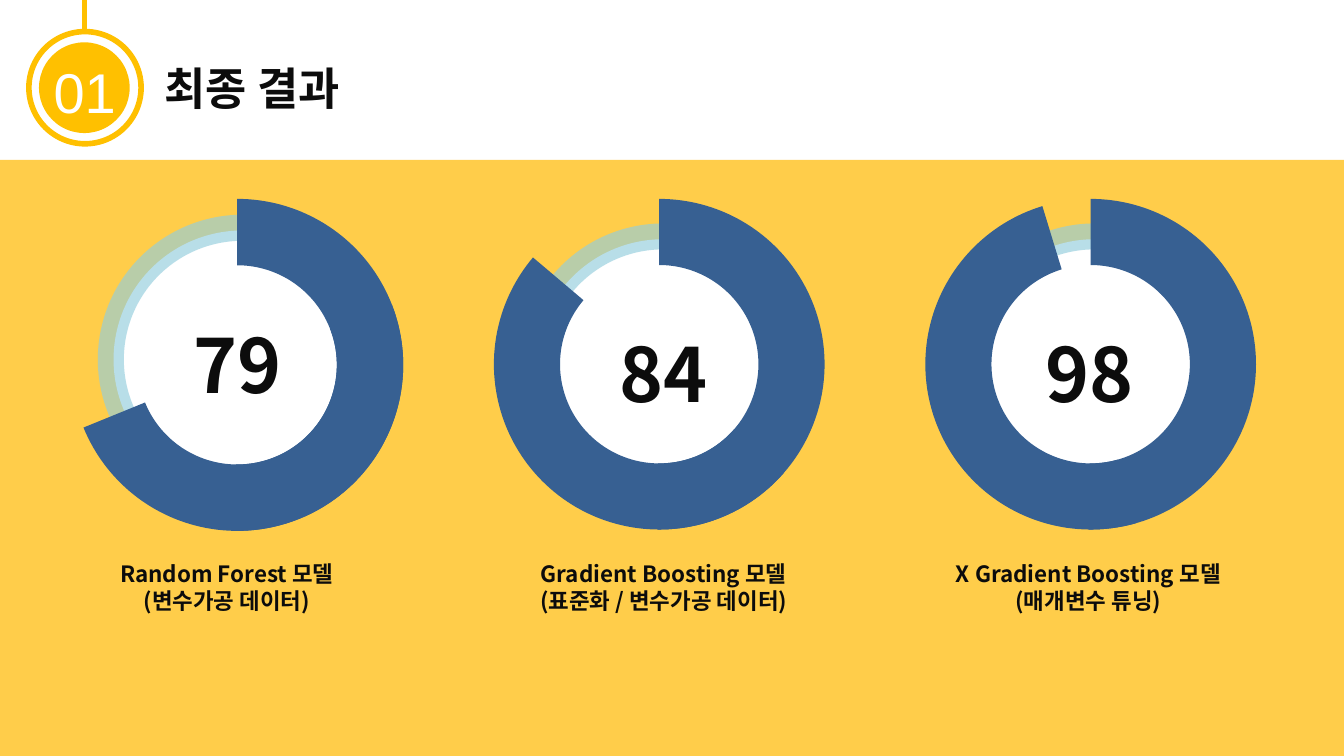
"""Build the final results slide with three model score gauges."""
from lxml.etree import SubElement
from pptx import Presentation
from pptx.dml.color import RGBColor
from pptx.enum.shapes import MSO_CONNECTOR, MSO_SHAPE as Form
from pptx.enum.text import MSO_ANCHOR, PP_ALIGN as Align
from pptx.oxml.ns import qn
from pptx.util import Inches, Pt

KOREAN = "Noto Sans CJK KR"
INK, WHITE, AMBER, SAND = "0C0C0C", "FFFFFF", "FFC000", "FFCD4A"
NAVY, AQUA = "376092", "93CDDD"
COLUMNS, ROWS = 20, 11.25
color = RGBColor.from_string

presentation = Presentation()
presentation.slide_width, presentation.slide_height = Inches(COLUMNS), Inches(ROWS)
column = presentation.slide_width / COLUMNS
row = presentation.slide_height / ROWS
slide = presentation.slides.add_slide(presentation.slide_layouts[6])


def add_form(shapes, form, left, top, width, height, fill=None):
    shape = shapes.add_shape(form, int(left * column), int(top * row),
                             int(width * column), int(height * row))
    shape.shadow.inherit = False
    shape.line.fill.background()
    if fill:
        shape.fill.solid()
        shape.fill.fore_color.rgb = color(fill)
    else:
        shape.fill.background()
    return shape


def add_text(shapes, text, left, top, width, height, size,
             align=Align.CENTER, font=KOREAN, ink=INK, bold=True):
    box = shapes.add_textbox(int(left * column), int(top * row),
                             int(width * column), int(height * row))
    frame = box.text_frame
    frame.word_wrap = True
    frame.vertical_anchor = MSO_ANCHOR.TOP
    frame.text = text
    for paragraph in frame.paragraphs:
        paragraph.alignment = align
        for run in paragraph.runs:
            run.font.size = Pt(size)
            run.font.bold = bold
            run.font.color.rgb = color(ink)
            run.font.name = font
            SubElement(run.font._element, qn("a:ea"), typeface=font)


add_form(slide.shapes, Form.RECTANGLE, 0, 2.38, COLUMNS, ROWS - 2.38, SAND)
add_text(slide.shapes, "최종 결과", 2.35, 0.86, 16.32, 1.21, 48, Align.LEFT)

badge = slide.shapes.add_group_shape().shapes
rim = add_form(badge, Form.OVAL, 0.43, 0.47, 1.67, 1.67)
add_form(badge, Form.OVAL, 0.58, 0.63, 1.35, 1.35, AMBER)
add_text(badge, "01", 0.62, 0.81, 1.28, 0.98, 60, font="Arial", ink=WHITE, bold=False)
cord = badge.add_connector(MSO_CONNECTOR.STRAIGHT, int(1.26 * column), 0,
                           int(1.26 * column), int(0.47 * row))
SubElement(cord._element.spPr, qn("a:effectLst"))
for outline in (rim.line, cord.line):
    outline.color.rgb = color(AMBER)
    outline.width = Pt(6)

gauges = [
    ("79", 158.8, (3.53, 5.43, 4.94), (3.61, 5.35, 3.84), (3.53, 4.7), 3.38,
     "Random Forest 모델\n(변수가공 데이터)"),
    ("84", 221.2, (9.81, 5.42, 4.92), (9.87, 5.47, 3.82), (9.87, 4.83), 9.88,
     "Gradient Boosting 모델\n(표준화 / 변수가공 데이터)"),
    ("98", 254, (16.23, 5.42, 4.92), (16.29, 5.47, 3.82), (16.21, 4.83), 16.2,
     "X Gradient Boosting 모델\n(매개변수 튜닝)"),
]
for score, turn, arc, disc, number, caption_x, caption in gauges:
    gauge = slide.shapes.add_group_shape().shapes
    x, y, size = disc
    add_form(gauge, Form.OVAL, x - size / 2, y - size / 2, size, size, WHITE)
    size += 0.47
    ring = add_form(gauge, Form.DONUT, x - size / 2, y - size / 2, size, size, AQUA)
    ring.adjustments[0] = 0.09
    tint = ring._element.spPr.find(qn("a:solidFill")).find(qn("a:srgbClr"))
    SubElement(tint, qn("a:alpha"), val="65000")

    x, y, size = arc
    for rotation, end in ((90, 0.35), (turn, 215.41)):
        band = add_form(gauge, Form.BLOCK_ARC, x - size / 2, y - size / 2, size, size, NAVY)
        band.rotation = rotation
        for index, value in enumerate((108, end, 0.2)):
            band.adjustments[index] = value

    x, top = number
    add_text(gauge, score, x - 1.6, top, 3.2, 1.13, 80)
    add_text(slide.shapes, caption, caption_x - 2.63, 8.29, 5.25, 1.21, 24)

presentation.save("out.pptx")
